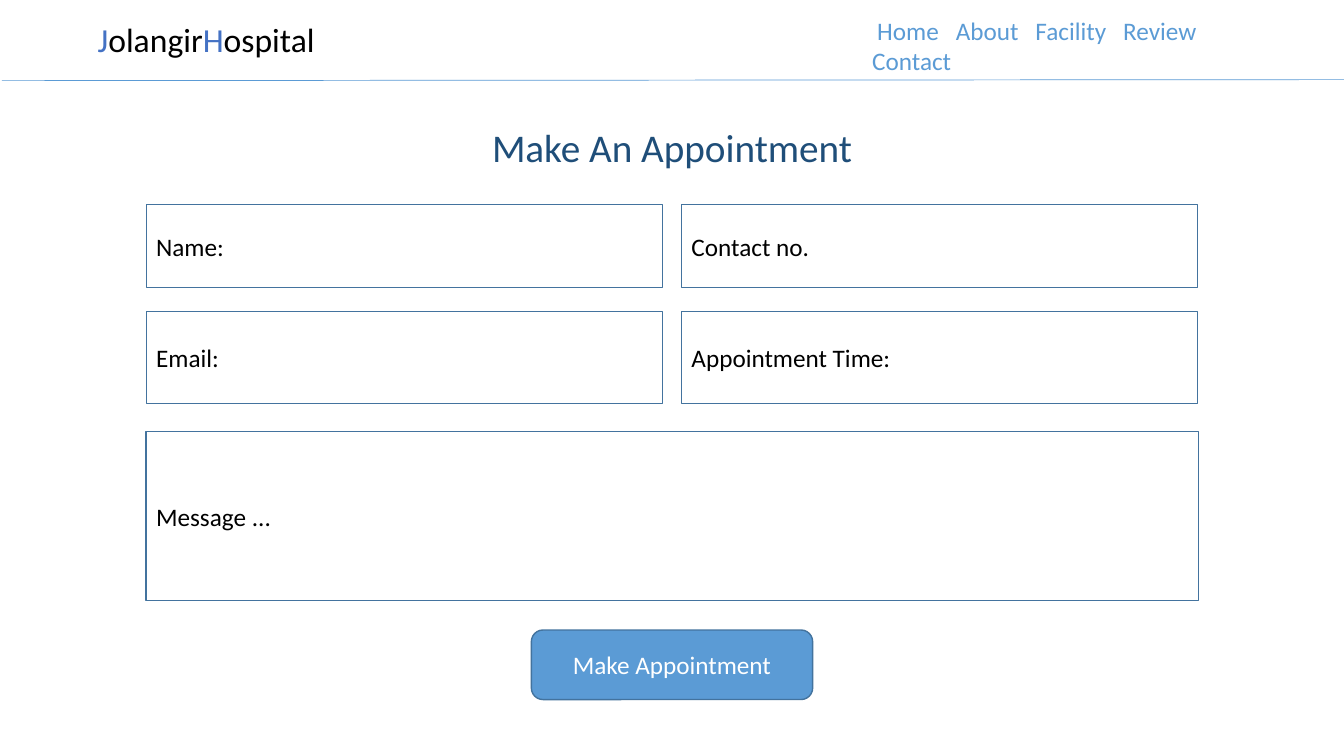
from lxml import etree
from pptx import Presentation
from pptx import util as u
from pptx.dml.color import RGBColor
from pptx.enum import shapes, text
from pptx.oxml.ns import qn

BLACK = RGBColor(0x00, 0x00, 0x00)
WHITE = RGBColor(0xFF, 0xFF, 0xFF)
SKY = RGBColor(0x5B, 0x9B, 0xD5)
ROYAL = RGBColor(0x44, 0x72, 0xC4)
NAVY = RGBColor(0x1F, 0x4E, 0x79)
OUTLINE = RGBColor(0x43, 0x73, 0x9E)

FIELD_LEFT, FIELD_WIDTH, COLUMN_STEP = 1.45, 5.12, 5.31
FIELD_ROWS = [
    (2.03, 0.82, ["Name:", "Contact no."]),
    (3.09, 0.91, ["Email:", "Appointment Time:"]),
]
NAV_ITEMS = [
    ("Home", 8.7, 0.15),
    ("About", 9.48, 0.15),
    ("Facility", 10.27, 0.15),
    ("Review", 11.14, 0.15),
    ("Contact", 8.65, 0.45),
]


def inches(*lengths):
    return [u.Inches(n) for n in lengths]


def write(tf, runs, size, align=text.PP_ALIGN.LEFT):
    """Fill the first paragraph with (words, colour) runs."""
    p = tf.paragraphs[0]
    p.alignment = align
    for words, colour in runs:
        r = p.add_run()
        r.text = words
        for name, value in {"name": "Calibri", "size": u.Pt(size)}.items():
            setattr(r.font, name, value)
        r.font.color.rgb = colour


def add_label(s, box, runs, size, **formats):
    tf = s.shapes.add_textbox(*inches(*box)).text_frame
    for name, value in {"word_wrap": True, **formats}.items():
        setattr(tf, name, value)
    write(tf, runs, size)


def add_title(s, box, words):
    sp = s.shapes.title
    sp.left, sp.top, sp.width, sp.height = inches(*box)
    tf = sp.text_frame
    formats = {"word_wrap": True, "auto_size": text.MSO_AUTO_SIZE.NONE,
               "vertical_anchor": text.MSO_ANCHOR.TOP}
    for name, value in formats.items():
        setattr(tf, name, value)
    write(tf, [(words, NAVY)], 28)


def add_box(s, kind, box, words, fill=WHITE, colour=BLACK,
            align=text.PP_ALIGN.LEFT):
    sp = s.shapes.add_shape(kind, *inches(*box))
    sp.shadow.inherit = False
    sp.fill.solid()
    sp.fill.fore_color.rgb = fill
    sp.line.color.rgb = OUTLINE
    sp.line.width = u.Pt(1)
    sp.text_frame.vertical_anchor = text.MSO_ANCHOR.MIDDLE
    write(sp.text_frame, [(words, colour)], 18, align)


def add_rule(s, ends):
    line = s.shapes.add_connector(shapes.MSO_CONNECTOR.STRAIGHT, *inches(*ends))
    line.line.color.rgb = SKY
    line.line.width = u.Pt(0.5)
    etree.SubElement(line._element.spPr, qn("a:effectLst"))


def add_nav(s):
    for words, left, top in NAV_ITEMS:
        add_label(s, (left, top, 0.85, 0.3), [(words, SKY)], 18,
                  margin_left=0, margin_right=0, margin_top=0, margin_bottom=0)


def main():
    prs = Presentation()
    prs.slide_width, prs.slide_height = inches(13.33, 7.5)
    s = prs.slides.add_slide(prs.slide_layouts[5])

    # Header
    add_rule(s, (0.02, 0.8, 13.33, 0.79))
    add_label(s, (0.87, 0.14, 3, 0.5),
              [("J", ROYAL), ("olangir", BLACK), ("H", ROYAL), ("ospital", BLACK)],
              24)
    add_nav(s)

    # Form
    add_title(s, (4.78, 1.17, 4.1, 0.57), "Make An Appointment")
    field = shapes.MSO_SHAPE.FLOWCHART_PROCESS
    for top, height, labels in FIELD_ROWS:
        for column, words in enumerate(labels):
            left = FIELD_LEFT + column * COLUMN_STEP
            add_box(s, field, (left, top, FIELD_WIDTH, height), words)
    add_box(s, field, (FIELD_LEFT, 4.28, 10.44, 1.68), "Message ...")

    # Button
    add_box(s, shapes.MSO_SHAPE.ROUNDED_RECTANGLE, (5.27, 6.25, 2.79, 0.69),
            "Make Appointment", SKY, WHITE, text.PP_ALIGN.CENTER)

    prs.save("out.pptx")


if __name__ == "__main__":
    main()
